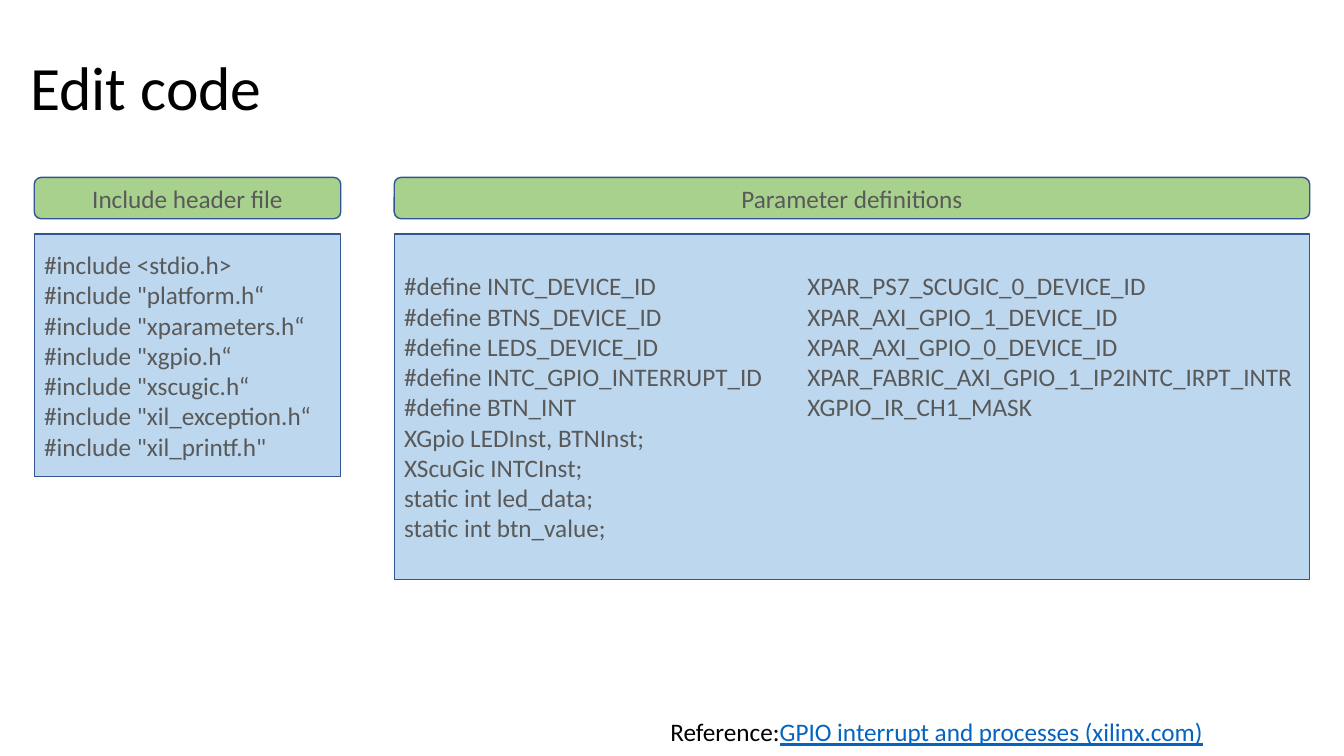
"""Build the "Edit code" slide with two headed code panels."""
from dataclasses import dataclass

from lxml.etree import SubElement
from pptx import Presentation
from pptx.dml.color import RGBColor
from pptx.enum.shapes import MSO_SHAPE
from pptx.enum.text import MSO_ANCHOR, PP_ALIGN
from pptx.oxml.ns import qn
from pptx.util import Inches, Pt

TITLE = "Edit code"
PANELS = [
    {"head": "Include header file", "left": 0.34, "width": 3.04, "height": 2.41, "code": [
        '#include <stdio.h>',
        '#include "platform.h“',
        '#include "xparameters.h“',
        '#include "xgpio.h“',
        '#include "xscugic.h“',
        '#include "xil_exception.h“',
        '#include "xil_printf.h"',
    ]},
    {"head": "Parameter definitions", "left": 3.91, "width": 9.08, "height": 3.43, "code": [
        "#define INTC_DEVICE_ID\tXPAR_PS7_SCUGIC_0_DEVICE_ID",
        "#define BTNS_DEVICE_ID\tXPAR_AXI_GPIO_1_DEVICE_ID",
        "#define LEDS_DEVICE_ID\tXPAR_AXI_GPIO_0_DEVICE_ID",
        "#define INTC_GPIO_INTERRUPT_ID\tXPAR_FABRIC_AXI_GPIO_1_IP2INTC_IRPT_INTR",
        "#define BTN_INT\tXGPIO_IR_CH1_MASK",
        "XGpio LEDInst, BTNInst;",
        "XScuGic INTCInst;",
        "static int led_data;",
        "static int btn_value;",
    ]},
]
REFERENCE = ("Reference:", "GPIO interrupt and processes (xilinx.com)")
HEAD_TOP, HEAD_HEIGHT, GAP = 1.76, 0.41, 0.15
VALUE_TAB = 4


@dataclass(frozen=True)
class Theme:
    font: str = "Calibri"
    title: int = 44
    body: int = 18
    ink: str = "000000"
    code: str = "595959"
    link: str = "0563C1"
    head_fill: str = "A9D18E"
    code_fill: str = "BDD7EE"
    line: str = "325491"


T = Theme()


def add_text(p, text, size=T.body, color=T.ink, underline=None, align=PP_ALIGN.LEFT):
    p.alignment = align
    r = p.add_run()
    r.text = text
    r.font.name, r.font.size, r.font.underline = T.font, Pt(size), underline
    r.font.color.rgb = RGBColor.from_string(color)


def add_tab(p, inches):
    tabs = SubElement(p._p.get_or_add_pPr(), qn("a:tabLst"))
    SubElement(tabs, qn("a:tab"), pos=str(Inches(inches)), algn="l")


def add_box(s, kind, left, top, width, height, fill, lines, align=PP_ALIGN.LEFT):
    sp = s.shapes.add_shape(kind, Inches(left), Inches(top), Inches(width), Inches(height))
    sp.shadow.inherit = False
    sp.fill.solid()
    sp.fill.fore_color.rgb = RGBColor.from_string(fill)
    sp.line.color.rgb = RGBColor.from_string(T.line)
    sp.line.width = Pt(1)
    tf = sp.text_frame
    tf.word_wrap = True
    tf.vertical_anchor = MSO_ANCHOR.MIDDLE
    for i, text in enumerate(lines):
        p = tf.add_paragraph() if i else tf.paragraphs[0]
        if "\t" in text:
            add_tab(p, VALUE_TAB)
        add_text(p, text, color=T.code, align=align)


def main():
    prs = Presentation()
    prs.slide_width, prs.slide_height = Inches(13.33), Inches(7.5)
    s = prs.slides.add_slide(prs.slide_layouts[5])

    title = s.shapes.title
    title.left, title.top, title.width, title.height = map(Inches, (0.2, 0.17, 11.5, 1.45))
    title.text_frame.vertical_anchor = MSO_ANCHOR.MIDDLE
    p = title.text_frame.paragraphs[0]
    p.line_spacing = 0.9
    add_text(p, TITLE, size=T.title)

    for panel in PANELS:
        left, width = panel["left"], panel["width"]
        add_box(s, MSO_SHAPE.RECTANGLE, left, HEAD_TOP + HEAD_HEIGHT + GAP, width,
                panel["height"], T.code_fill, panel["code"])
        add_box(s, MSO_SHAPE.ROUNDED_RECTANGLE, left, HEAD_TOP, width, HEAD_HEIGHT,
                T.head_fill, [panel["head"]], PP_ALIGN.CENTER)

    tf = s.shapes.add_textbox(*map(Inches, (6.55, 7.06, 5.54, 0.4))).text_frame
    tf.word_wrap = False
    label, source = REFERENCE
    add_text(tf.paragraphs[0], label)
    add_text(tf.paragraphs[0], source, color=T.link, underline=True)

    prs.save("out.pptx")


if __name__ == "__main__":
    main()
